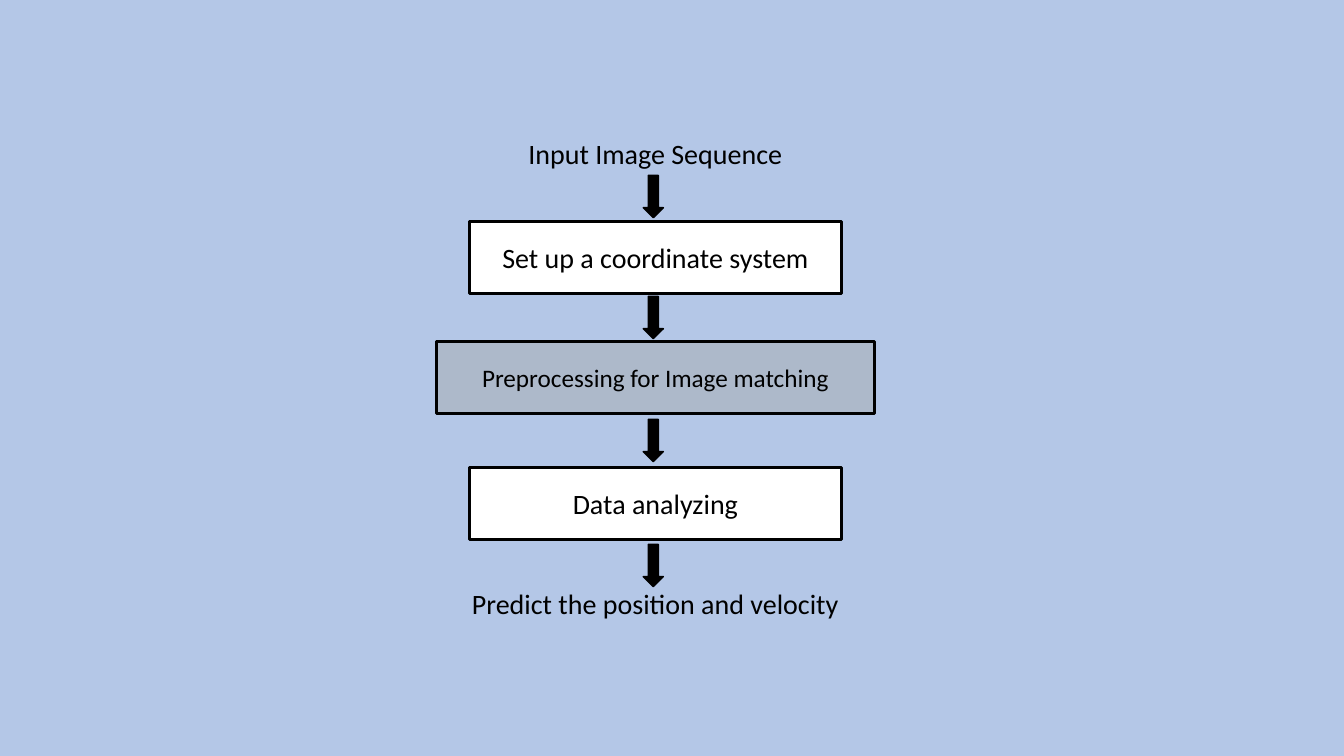
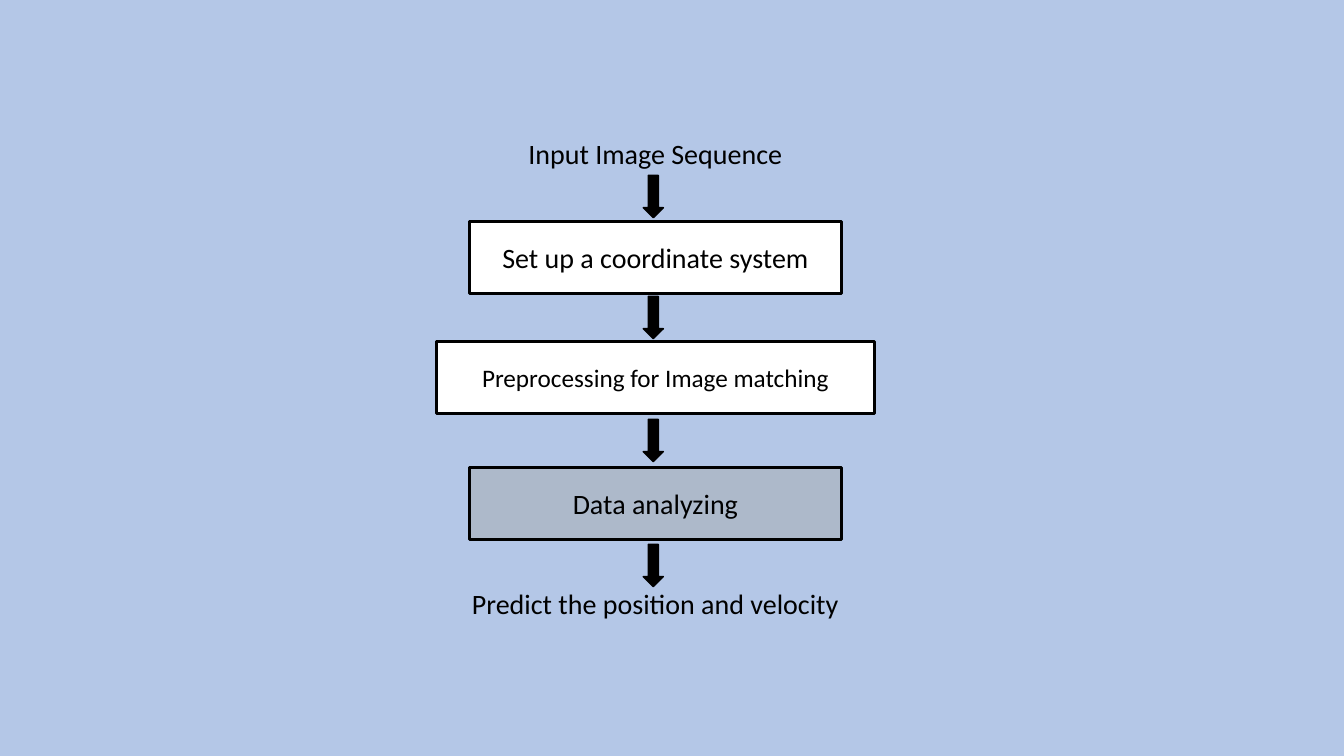
from dataclasses import dataclass

from pptx import Presentation
from pptx.dml.color import RGBColor
from pptx.enum.shapes import MSO_SHAPE as Shp
from pptx.enum.text import MSO_ANCHOR as Anchor, PP_ALIGN as Align
from pptx.shapes.autoshape import Shape
from pptx.shapes.shapetree import GroupShapes
from pptx.util import Inches, Pt

BACKGROUND, BLACK, WHITE, ACTIVE = "B4C7E7", "000000", "FFFFFF", "ADB9CA"
FONT = "Calibri"
CENTER = 6.5
ARROW_CENTER = 6.48
BOX_HEIGHT, LABEL_HEIGHT = 0.71, 0.44
ARROW_WIDTH, ARROW_HEIGHT = 0.2, 0.42


@dataclass(frozen=True)
class Label:
    text: str
    top: float
    width: float
    size: int = 20


LABELS = (
    Label("Input Image Sequence", 1.3, 3.02),
    Label("Predict the position and velocity", 5.77, 4.05),
)
STEPS = (
    Label("Set up a coordinate system", 2.2, 3.69),
    Label("Preprocessing for Image matching", 3.39, 4.35, 18),
    Label("Data analyzing", 4.64, 3.69),
)
ARROW_TOPS = (1.74, 2.94, 4.16, 5.4)
ACTIVE_STEPS = (1, 2)


def rgb(color: str) -> RGBColor:
    return RGBColor.from_string(color)


def frame(center: float, top: float, width: float, height: float) -> tuple:
    return tuple(Inches(v) for v in (center - width / 2, top, width, height))


def write(shape: Shape, label: Label) -> None:
    tf = shape.text_frame
    tf.word_wrap = True
    tf.vertical_anchor = Anchor.MIDDLE
    p = tf.paragraphs[0]
    p.alignment = Align.CENTER
    r = p.add_run()
    r.text = label.text
    for name, value in {"name": FONT, "size": Pt(label.size)}.items():
        setattr(r.font, name, value)
    r.font.color.rgb = rgb(BLACK)


def paint(shape: Shape, fill: str, line_width: float) -> None:
    shape.shadow.inherit = False
    shape.fill.solid()
    shape.fill.fore_color.rgb = rgb(fill)
    shape.line.color.rgb = rgb(BLACK)
    shape.line.width = Pt(line_width)


def add_label(shapes: GroupShapes, label: Label) -> None:
    box = shapes.add_textbox(*frame(CENTER, label.top, label.width, LABEL_HEIGHT))
    write(box, label)


def add_step(shapes: GroupShapes, step: Label, fill: str) -> None:
    box = shapes.add_shape(Shp.RECTANGLE, *frame(CENTER, step.top, step.width, BOX_HEIGHT))
    paint(box, fill, 2.25)
    write(box, step)


def add_arrow(shapes: GroupShapes, top: float) -> None:
    arrow = shapes.add_shape(Shp.DOWN_ARROW, *frame(ARROW_CENTER, top, ARROW_WIDTH, ARROW_HEIGHT))
    paint(arrow, BLACK, 1)


def add_flow_slide(prs: Presentation, active: int) -> None:
    s = prs.slides.add_slide(prs.slide_layouts[6])
    shapes = s.shapes.add_group_shape().shapes
    for label in LABELS:
        add_label(shapes, label)
    for i, step in enumerate(STEPS):
        add_step(shapes, step, ACTIVE if i == active else WHITE)
    for top in ARROW_TOPS:
        add_arrow(shapes, top)


def main() -> None:
    prs = Presentation()
    prs.slide_width, prs.slide_height = Inches(13.33), Inches(7.5)
    fill = prs.slide_master.background.fill
    fill.solid()
    fill.fore_color.rgb = rgb(BACKGROUND)
    for active in ACTIVE_STEPS:
        add_flow_slide(prs, active)
    prs.save("out.pptx")


if __name__ == "__main__":
    main()
